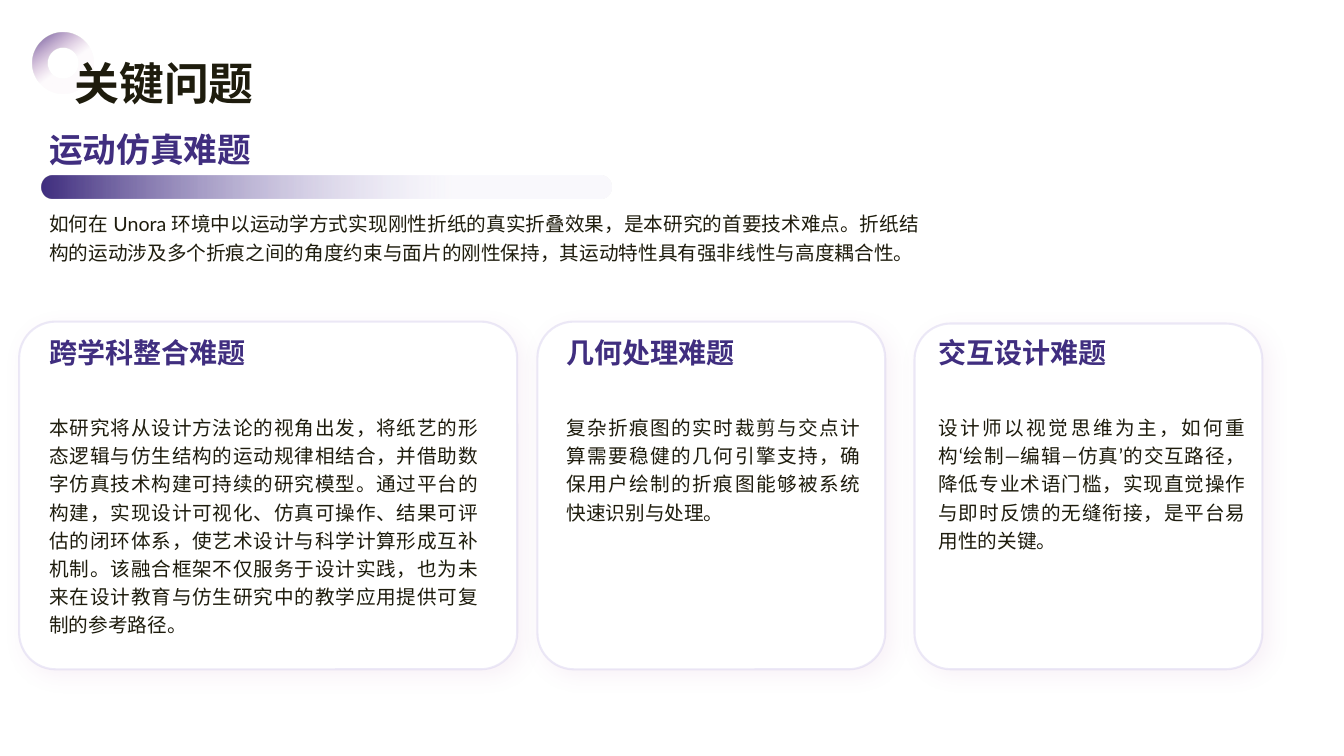
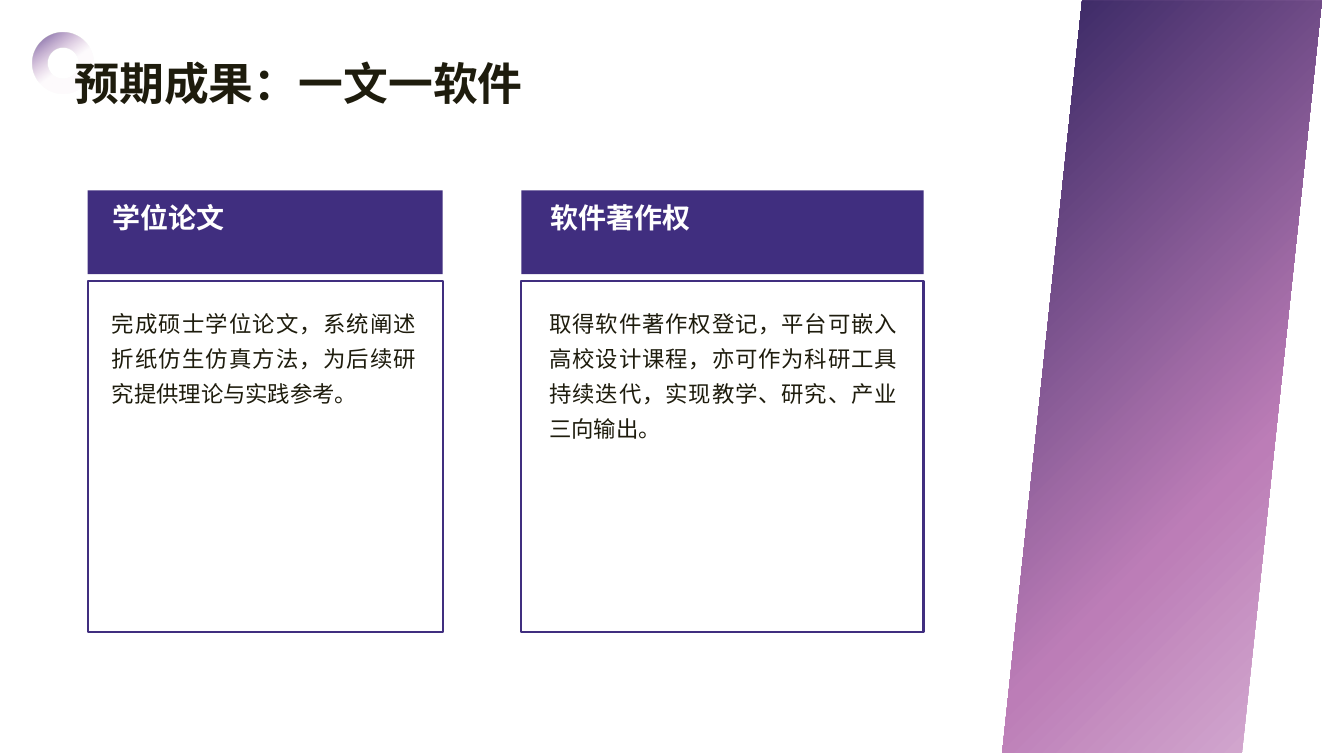
"""Build two slides on the key problems and expected results of an origami study."""
import dataclasses

import lxml.etree
import pptx
import pptx.dml.color
import pptx.enum.lang
import pptx.enum.shapes
import pptx.enum.text
import pptx.oxml.ns
import pptx.util

Inches = pptx.util.Inches
Pt = pptx.util.Pt
qn = pptx.oxml.ns.qn
Shape = pptx.enum.shapes.MSO_SHAPE
Align = pptx.enum.text.PP_ALIGN


@dataclasses.dataclass(frozen=True)
class Theme:
    font: str = "Lato"
    ink: str = "1E1C0D"
    white: str = "FFFFFF"
    violet: str = "402E7F"
    deep_violet: str = "30225F"
    orchid: str = "BC7DB7"
    pale_orchid: str = "D7B1D4"
    lavender: str = "D5CDED"
    title_size: int = 32
    lead_size: int = 24
    heading_size: int = 20
    large_body_size: int = 16
    body_size: int = 14
    outline: float = 1.5


def rgb(color):
    return pptx.dml.color.RGBColor.from_string(color)


def add_color(parent, color, alpha=100):
    element = lxml.etree.SubElement(parent, qn("a:srgbClr"), val=color)
    add_alpha(element, alpha)


def add_alpha(element, alpha):
    if alpha < 100:
        lxml.etree.SubElement(element, qn("a:alpha"), val=str(alpha * 1000))


class Deck:
    def __init__(self, theme):
        self.theme = theme
        self.presentation = pptx.Presentation()
        self.presentation.slide_width = Inches(13.33)
        self.presentation.slide_height = Inches(7.5)
        self.slide = None

    def add_slide(self, title):
        theme = self.theme
        self.slide = self.presentation.slides.add_slide(self.presentation.slide_layouts[6])
        ring = self.shape(Shape.DONUT, 0.32, 0.32, 0.61, 0.61, rotation=99)
        self.gradient(ring, 45, [(0, theme.violet, 100), (54, theme.orchid, 3), (100, theme.orchid, 3)])
        self.text(title, 0.64, 0.5, 11.1, 0.64, theme.title_size, theme.ink, bold=True, align=Align.LEFT)

    def shape(self, kind, left, top, width, height, fill=None, line=None, rotation=0, corner=None):
        shape = self.slide.shapes.add_shape(kind, Inches(left), Inches(top), Inches(width), Inches(height))
        shape.shadow.inherit = False
        shape.rotation = rotation
        if corner is not None:
            shape.adjustments[0] = corner
        if fill:
            shape.fill.solid()
            shape.fill.fore_color.rgb = rgb(fill)
        if line:
            shape.line.color.rgb = rgb(line)
            shape.line.width = Pt(self.theme.outline)
        else:
            shape.line.fill.background()
        return shape

    def gradient(self, shape, angle, stops):
        shape.fill.gradient()
        shape.fill.gradient_angle = angle
        stop_list = shape.element.spPr.find(".//" + qn("a:gsLst"))
        for stop in list(stop_list):
            stop_list.remove(stop)
        for position, color, alpha in stops:
            stop = lxml.etree.SubElement(stop_list, qn("a:gs"), pos=str(position * 1000))
            add_color(stop, color, alpha)

    def text(self, content, left, top, width, height, size, color,
             bold=False, align=Align.JUSTIFY, spacing=None):
        box = self.slide.shapes.add_textbox(Inches(left), Inches(top), Inches(width), Inches(height))
        frame = box.text_frame
        frame.word_wrap = True
        frame.auto_size = pptx.enum.text.MSO_AUTO_SIZE.SHAPE_TO_FIT_TEXT
        frame.text = content
        paragraph = frame.paragraphs[0]
        paragraph.alignment = align
        if spacing:
            paragraph.line_spacing = spacing
        font = paragraph.runs[0].font
        font.size = Pt(size)
        font.bold = bold
        font.color.rgb = rgb(color)
        font.name = self.theme.font
        font.language_id = pptx.enum.lang.MSO_LANGUAGE_ID.SIMPLIFIED_CHINESE
        properties = paragraph.runs[0]._r.get_or_add_rPr()
        lxml.etree.SubElement(properties, qn("a:ea"), typeface=self.theme.font)

    def heading(self, content, left, top, width, color):
        self.text(content, left, top, width, 0.44, self.theme.heading_size, color, bold=True)

    def body(self, content, left, top, width, height):
        self.text(content, left, top, width, height, self.theme.body_size, self.theme.ink, spacing=1.2)

    def card(self, left, top, width, text_left, text_width, text_height, heading, content):
        theme = self.theme
        card = self.shape(Shape.ROUNDED_RECTANGLE, left, top, width, 6.64 - top,
                          theme.white, theme.lavender, corner=0.105)
        properties = card.element.spPr
        add_alpha(properties.find(qn("a:ln")).find(".//" + qn("a:srgbClr")), 43)
        shadow = lxml.etree.SubElement(
            properties.find(qn("a:effectLst")), qn("a:outerShdw"),
            blurRad=str(Pt(15)), dist=str(Pt(5.7)), dir=str(45 * 60000), algn="tl", rotWithShape="0")
        add_color(shadow, theme.orchid, 10)
        self.heading(heading, text_left, 3.28, 3.11, theme.violet)
        self.body(content, text_left, 4.03, text_width, text_height)

    def panel(self, left, width, text_left, text_width, text_height, heading, content):
        theme = self.theme
        self.shape(Shape.RECTANGLE, left, 2.79, width, 3.48, theme.white, theme.violet)
        self.shape(Shape.RECTANGLE, left, 1.89, width, 0.83, theme.violet)
        self.heading(heading, text_left, 1.94, text_width, theme.white)
        self.text(content, text_left - 0.01, 2.95, text_width, text_height,
                  theme.large_body_size, theme.ink, spacing=1.3)


def build_problems(deck):
    theme = deck.theme
    deck.add_slide("关键问题")
    bar = deck.shape(Shape.ROUNDED_RECTANGLE, 3.13, -0.97, 0.22, 5.65, rotation=270, corner=0.5)
    deck.gradient(bar, 90, [(0, theme.lavender, 13), (28, theme.lavender, 13), (100, theme.violet, 100)])
    deck.text("运动仿真难题", 0.39, 1.23, 5.25, 0.5, theme.lead_size, theme.violet, bold=True)
    deck.body(
        "如何在 Unora 环境中以运动学方式实现刚性折纸的真实折叠效果，是本研究的首要技术难点。"
        "折纸结构的运动涉及多个折痕之间的角度约束与面片的刚性保持，其运动特性具有强非线性与高度耦合性。",
        0.39, 2.01, 8.83, 0.65)
    cards = [
        (0.19, 3.19, 4.94, 0.39, 4.45, 2.06, "跨学科整合难题",
         "本研究将从设计方法论的视角出发，将纸艺的形态逻辑与仿生结构的运动规律相结合，"
         "并借助数字仿真技术构建可持续的研究模型。通过平台的构建，实现设计可视化、仿真可操作、"
         "结果可评估的闭环体系，使艺术设计与科学计算形成互补机制。该融合框架不仅服务于设计实践，"
         "也为未来在设计教育与仿生研究中的教学应用提供可复制的参考路径。"),
        (5.33, 3.19, 3.45, 5.52, 3.11, 1.21, "几何处理难题",
         "复杂折痕图的实时裁剪与交点计算需要稳健的几何引擎支持，"
         "确保用户绘制的折痕图能够被系统快速识别与处理。"),
        (9.07, 3.21, 3.45, 9.21, 3.24, 1.51, "交互设计难题",
         "设计师以视觉思维为主，如何重构‘绘制—编辑—仿真’的交互路径，降低专业术语门槛，"
         "实现直觉操作与即时反馈的无缝衔接，是平台易用性的关键。"),
    ]
    for card in cards:
        deck.card(*card)


def build_results(deck):
    theme = deck.theme
    deck.add_slide("预期成果：一文一软件")
    strip = deck.shape(Shape.PARALLELOGRAM, 9.94, 0.01, 3.17, 7.46)
    deck.gradient(strip, 135, [(0, theme.pale_orchid, 100), (34, theme.orchid, 100), (100, theme.deep_violet, 100)])
    panels = [
        (0.87, 3.52, 1.02, 3.22, 1.12, "学位论文",
         "完成硕士学位论文，系统阐述折纸仿生仿真方法，为后续研究提供理论与实践参考。"),
        (5.17, 3.99, 5.36, 3.65, 1.47, "软件著作权",
         "取得软件著作权登记，平台可嵌入高校设计课程，亦可作为科研工具持续迭代，"
         "实现教学、研究、产业三向输出。"),
    ]
    for panel in panels:
        deck.panel(*panel)


def main():
    deck = Deck(Theme())
    build_problems(deck)
    build_results(deck)
    deck.presentation.save("out.pptx")


if __name__ == "__main__":
    main()
